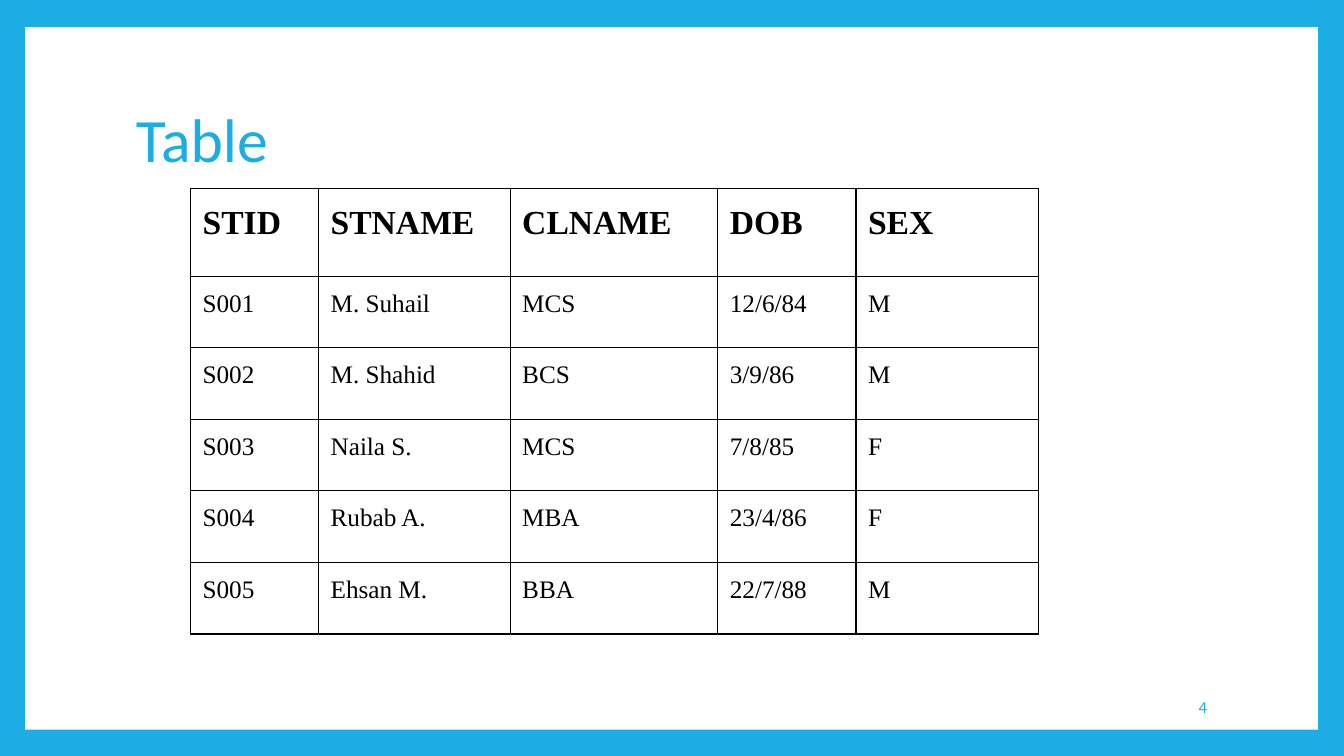
from dataclasses import dataclass

from lxml import etree
from pptx import Presentation
from pptx.dml.color import RGBColor
from pptx.enum import shapes, text
from pptx.oxml import ns
from pptx.util import Inches, Pt


@dataclass(frozen=True)
class Theme:
    blue: str = "1CADE4"
    white: str = "FFFFFF"
    black: str = "000000"
    sans: str = "Calibri"
    serif: str = "Times New Roman"
    title: int = 44
    head: int = 24
    body: int = 18
    small: int = 12
    line: int = 1


class Deck:
    def __init__(self, theme):
        self.theme = theme
        self.prs = Presentation()
        self.prs.slide_width = Inches(13.33)
        self.prs.slide_height = Inches(7.5)
        self.slide = self.prs.slides.add_slide(self.prs.slide_layouts[6])

    def back(self, color):
        fill = self.slide.background.fill
        fill.solid()
        fill.fore_color.rgb = RGBColor.from_string(color)

    def panel(self, box, color):
        rect = self.slide.shapes.add_shape(
            shapes.MSO_SHAPE.RECTANGLE, *map(Inches, box))
        rect.shadow.inherit = False
        rect.fill.solid()
        rect.fill.fore_color.rgb = RGBColor.from_string(color)
        rect.line.fill.background()

    def run(self, par, words, size, face, color, bold=False):
        run = par.add_run()
        run.text = words
        run.font.size = Pt(size)
        run.font.name = face
        run.font.bold = bold
        run.font.color.rgb = RGBColor.from_string(color)

    def label(self, box, words, size, align, space=1.0):
        frame = self.slide.shapes.add_textbox(*map(Inches, box)).text_frame
        frame.word_wrap = True
        frame.vertical_anchor = text.MSO_ANCHOR.MIDDLE
        par = frame.paragraphs[0]
        par.alignment = align
        par.line_spacing = space
        self.run(par, words, size, self.theme.sans, self.theme.blue)

    def border(self, cell):
        props = cell._tc.get_or_add_tcPr()
        for side in ("a:lnL", "a:lnR", "a:lnT", "a:lnB"):
            line = etree.SubElement(
                props, ns.qn(side), w=str(Pt(self.theme.line)))
            fill = etree.SubElement(line, ns.qn("a:solidFill"))
            etree.SubElement(fill, ns.qn("a:srgbClr"), val=self.theme.black)

    def cell(self, cell, words, head):
        theme = self.theme
        self.border(cell)
        cell.fill.background()
        cell.margin_left = cell.margin_right = Inches(0.12)
        cell.margin_top = cell.margin_bottom = Inches(0.05)
        par = cell.text_frame.paragraphs[0]
        par.line_spacing = 1.3
        size = theme.head if head else theme.body
        self.run(par, words, size, theme.serif, theme.black, head)

    def table(self, left, top, widths, heights, rows):
        box = (left, top, sum(widths), sum(heights))
        grid = self.slide.shapes.add_table(
            len(rows), len(widths), *map(Inches, box)).table
        grid.first_row = grid.horz_banding = False
        for col, width in zip(grid.columns, widths):
            col.width = Inches(width)
        for row, height in zip(grid.rows, heights):
            row.height = Inches(height)
        for r, row in enumerate(rows):
            for c, words in enumerate(row):
                self.cell(grid.cell(r, c), words, r == 0)


ROWS = [
    ("STID", "STNAME", "CLNAME", "DOB", "SEX"),
    ("S001", "M. Suhail", "MCS", "12/6/84", "M"),
    ("S002", "M. Shahid", "BCS", "3/9/86", "M"),
    ("S003", "Naila S.", "MCS", "7/8/85", "F"),
    ("S004", "Rubab A.", "MBA", "23/4/86", "F"),
    ("S005", "Ehsan M.", "BBA", "22/7/88", "M"),
]


def main():
    theme = Theme()
    deck = Deck(theme)
    deck.back(theme.blue)
    deck.panel((0.25, 0.27, 12.82, 6.97), theme.white)
    deck.label((1.25, 0.67, 10.8, 1.48), "Table", theme.title,
               text.PP_ALIGN.LEFT, 0.9)
    deck.table(1.89, 1.87, [1.27, 1.9, 2.06, 1.37, 1.81],
               [0.87] + [0.71] * 5, ROWS)
    deck.label((10.2, 6.81, 1.87, 0.4), "4", theme.small,
               text.PP_ALIGN.RIGHT)
    deck.prs.save("out.pptx")


if __name__ == "__main__":
    main()
